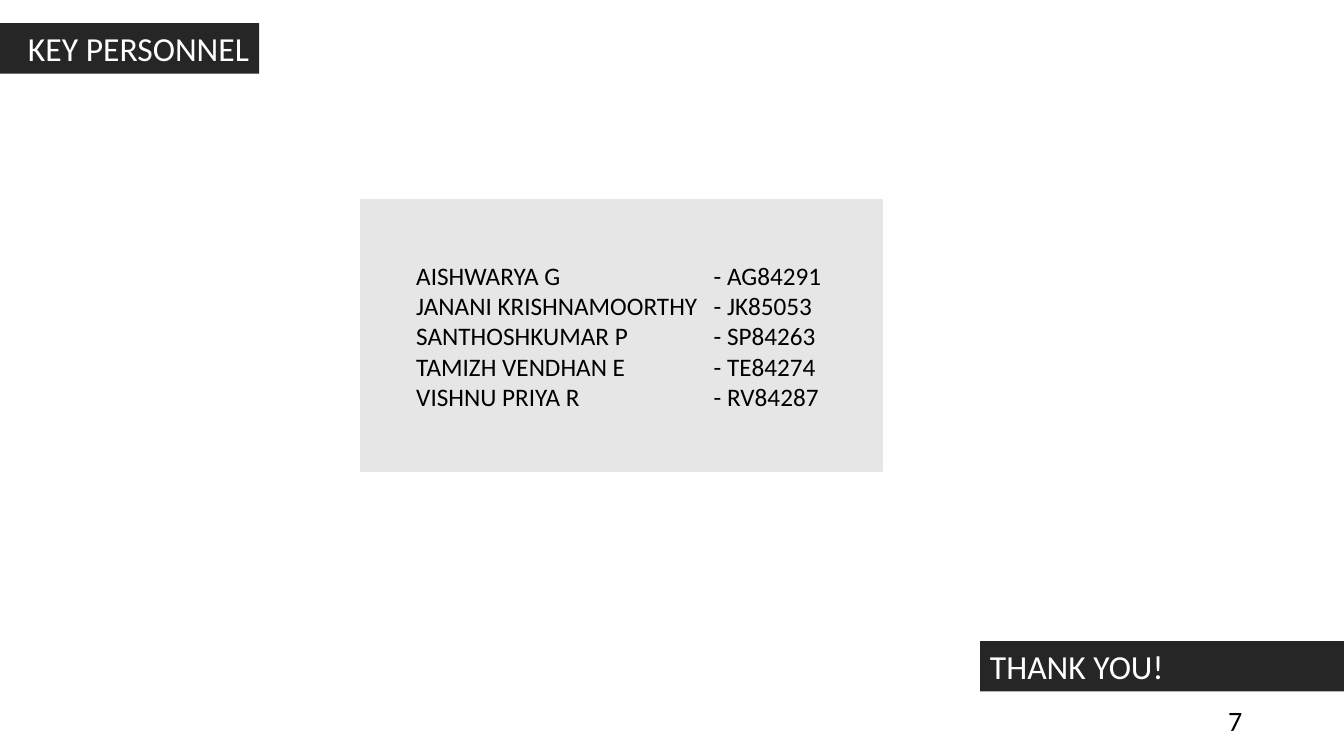
from lxml import etree
from pptx import Presentation
from pptx.dml.color import RGBColor
from pptx.enum import shapes, text
from pptx.oxml.ns import qn
from pptx.util import Inches, Pt

# Content
TITLE = "KEY PERSONNEL"
CLOSING = "THANK YOU!"
PAGE_NUMBER = "7"
PERSONNEL = [
    ("AISHWARYA G", "AG84291"),
    ("JANANI KRISHNAMOORTHY", "JK85053"),
    ("SANTHOSHKUMAR P", "SP84263"),
    ("TAMIZH VENDHAN E", "TE84274"),
    ("VISHNU PRIYA R", "RV84287"),
]
FONT = "Calibri"
DARK, GREY, WHITE, BLACK = "262626", "E7E6E6", "FFFFFF", "000000"
ID_COLUMN = 2.95
LEFT, RIGHT = text.PP_ALIGN.LEFT, text.PP_ALIGN.RIGHT


def color(value):
    return RGBColor.from_string(value)


def fill(shape, value):
    shape.fill.solid()
    shape.fill.fore_color.rgb = color(value)


def add_panel(box, value):
    panel = slide.shapes.add_shape(shapes.MSO_SHAPE.RECTANGLE, *map(Inches, box))
    panel.shadow.inherit = False
    fill(panel, value)
    panel.line.fill.background()
    return panel


def write(shape, content, size, value, alignment=LEFT):
    frame = shape.text_frame
    frame.text = content
    frame.word_wrap = True
    frame.auto_size = text.MSO_AUTO_SIZE.NONE
    frame.vertical_anchor = text.MSO_ANCHOR.MIDDLE
    for paragraph in frame.paragraphs:
        paragraph.alignment = alignment
        for run in paragraph.runs:
            run.font.name = FONT
            run.font.size = Pt(size)
            run.font.color.rgb = color(value)


def add_tab_stop(paragraph, position):
    tabs = etree.SubElement(paragraph._p.get_or_add_pPr(), qn("a:tabLst"))
    etree.SubElement(tabs, qn("a:tab"), pos=str(Inches(position)), algn="l")


presentation = Presentation()
presentation.slide_width, presentation.slide_height = Inches(13.33), Inches(7.5)
slide = presentation.slides.add_slide(presentation.slide_layouts[5])

# Title band
title = slide.shapes.title
title.left, title.top, title.width, title.height = map(Inches, (0, 0.23, 2.57, 0.5))
fill(title, DARK)
write(title, TITLE, 24, WHITE, RIGHT)

# Personnel panel and list
panel = add_panel((3.58, 1.98, 5.17, 2.7), GREY)
panel.line.color.rgb = color(GREY)
panel.line.width = Pt(1)
personnel = slide.shapes.add_textbox(*map(Inches, (4.03, 2.52, 4.28, 1.62)))
write(personnel, "\n".join(f"{name}\t- {code}" for name, code in PERSONNEL), 18, BLACK)
for paragraph in personnel.text_frame.paragraphs:
    add_tab_stop(paragraph, ID_COLUMN)

# Closing band and page number
write(add_panel((9.72, 6.36, 3.61, 0.5), DARK), CLOSING, 24, WHITE)
page_number = slide.shapes.add_textbox(*map(Inches, (9.42, 6.95, 3, 0.4)))
write(page_number, PAGE_NUMBER, 20, BLACK, RIGHT)

presentation.save("out.pptx")
